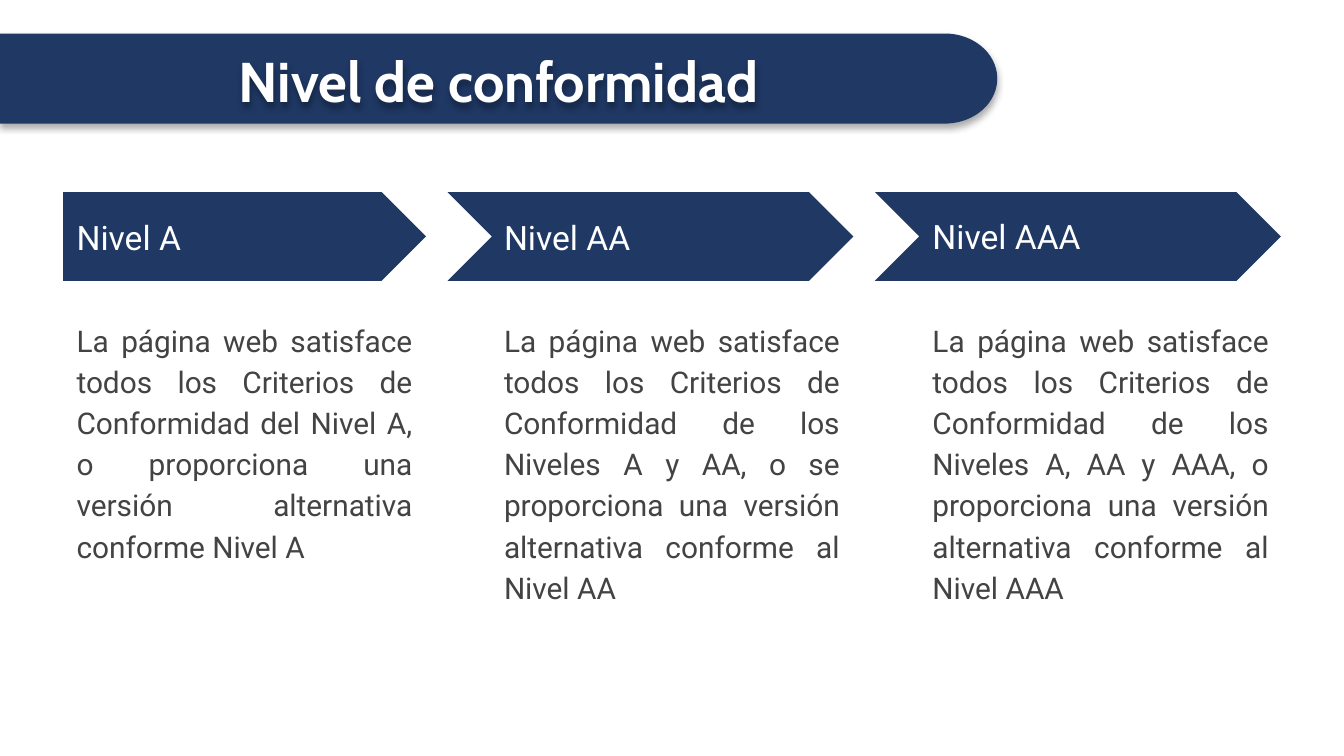
import math
from dataclasses import dataclass

from lxml import etree
from pptx import Presentation
from pptx import util as u
from pptx.dml.color import RGBColor
from pptx.enum import shapes, text
from pptx.oxml import ns

NAVY = RGBColor(0x1F, 0x38, 0x64)
GREY = RGBColor(0x43, 0x43, 0x43)
WHITE = RGBColor(0xFF, 0xFF, 0xFF)


@dataclass
class Level:
    name: str
    body: str
    left: float
    arrow: float  # left edge of the arrow
    width: float
    kind: shapes.MSO_SHAPE


PENT, CHEV = shapes.MSO_SHAPE.PENTAGON, shapes.MSO_SHAPE.CHEVRON
LEVELS = [
    Level("Nivel A", "La página web satisface todos los Criterios de Conformidad del Nivel A, "
          "o proporciona una versión alternativa conforme Nivel A", 0.47, 0.47, 2.7, PENT),
    Level("Nivel AA", "La página web satisface todos los Criterios de Conformidad de los Niveles "
          "A y AA, o se proporciona una versión alternativa conforme al Nivel AA",
          3.65, 3.33, 3.02, CHEV),
    Level("Nivel AAA", "La página web satisface todos los Criterios de Conformidad de los Niveles "
          "A, AA y AAA, o proporciona una versión alternativa conforme al Nivel AAA",
          6.84, 6.51, 3.02, CHEV),
]

NAME = dict(
    font=dict(name="Roboto", size=u.Pt(18), bold=False),
    para=dict(alignment=text.PP_ALIGN.LEFT, space_before=u.Pt(0)),
    frame=dict(vertical_anchor=text.MSO_ANCHOR.MIDDLE),
    inset=(0.1, 0.1), color=WHITE)
BODY = dict(
    font=dict(name="Roboto", size=u.Pt(16), bold=False),
    para=dict(alignment=text.PP_ALIGN.JUSTIFY, line_spacing=1.15,
              space_before=u.Pt(0), space_after=u.Pt(8)),
    frame=dict(vertical_anchor=text.MSO_ANCHOR.TOP),
    inset=(0.1, 0.1), color=GREY)
TITLE = dict(
    font=dict(name="Cabin", size=u.Pt(30), bold=True),
    para=dict(alignment=text.PP_ALIGN.CENTER, space_before=u.Pt(0)),
    frame=dict(vertical_anchor=text.MSO_ANCHOR.MIDDLE),
    inset=(0.07, 0.04), color=WHITE)


def assign(obj, values: dict) -> None:
    for key, val in values.items():
        setattr(obj, key, val)


def place(box, area: tuple) -> None:
    for key, val in zip(("left", "top", "width", "height"), area):
        setattr(box, key, u.Inches(val))


def write(box, words: str, area: tuple, style: dict) -> None:
    """Place a box in front and fill it with text."""
    place(box, area)
    slide.shapes._spTree.append(box._element)
    frame = box.text_frame
    side, edge = map(u.Inches, style["inset"])
    assign(frame, dict(word_wrap=True, auto_size=text.MSO_AUTO_SIZE.NONE,
                       margin_left=side, margin_right=side,
                       margin_top=edge, margin_bottom=edge, **style["frame"]))
    para = frame.paragraphs[0]
    props = para._p.get_or_add_pPr()
    props.set("marL", "0")
    props.set("indent", "0")
    etree.SubElement(props, ns.qn("a:buNone"))
    assign(para, style["para"])
    run = para.add_run()
    run.text = words
    assign(run.font, style["font"])
    run.font.color.rgb = style["color"]


def paint(shape) -> None:
    shape.shadow.inherit = False
    shape.fill.solid()
    shape.fill.fore_color.rgb = NAVY
    shape.line.fill.background()


def shade(shape) -> None:
    """Add a soft black shadow below."""
    shape.shadow.inherit = False
    effects = shape._element.spPr.find(ns.qn("a:effectLst"))
    outer = etree.SubElement(effects, ns.qn("a:outerShdw"), blurRad=str(u.Pt(3.5)),
                             dist=str(u.Pt(2.2)), dir="5400000", algn="t", rotWithShape="0")
    black = etree.SubElement(outer, ns.qn("a:srgbClr"), val="000000")
    etree.SubElement(black, ns.qn("a:alpha"), val="32000")


deck = Presentation()
deck.slide_width = u.Inches(10)
deck.slide_height = deck.slide_width * 9 // 16
slide = deck.slides.add_slide(deck.slide_layouts.get_by_name("Comparison"))
title, *slots = slide.placeholders

# Levels: arrow, name and text; the layout holds two pairs of placeholders
while len(slots) < 2 * len(LEVELS):
    slots.append(slide.shapes.add_textbox(0, 0, 0, 0))
for level, head, body in zip(LEVELS, slots[::2], slots[1::2]):
    arrow = slide.shapes.add_shape(level.kind, 0, 0, 0, 0)
    place(arrow, (level.arrow, 1.43, level.width, 0.66))
    paint(arrow)
    write(head, level.name, (level.left, 1.59, 2.47, 0.34), NAME)
    write(body, level.body, (level.left, 2.26, 2.7, 2.9), BODY)

# Banner with a round right end
TOP, HIGH, BEND, ROUND = 0.25, 0.67, 7.03, 0.39
STEPS = 48
mid = TOP + HIGH / 2
turns = [math.pi * (i / STEPS - 0.5) for i in range(STEPS + 1)]
curve = [(BEND + ROUND * math.cos(t), mid + HIGH / 2 * math.sin(t)) for t in turns]
pen = slide.shapes.build_freeform(0, u.Inches(TOP), scale=1.0)
pen.add_line_segments([(u.Inches(x), u.Inches(y)) for x, y in curve + [(0, TOP + HIGH)]])
banner = pen.convert_to_shape()
paint(banner)
shade(banner)

# Title: without a fill, the shadow falls from its letters
write(title, "Nivel de conformidad", (0.17, 0.31, 7.08, 0.58), TITLE)
title.fill.background()
shade(title)

deck.save("out.pptx")
